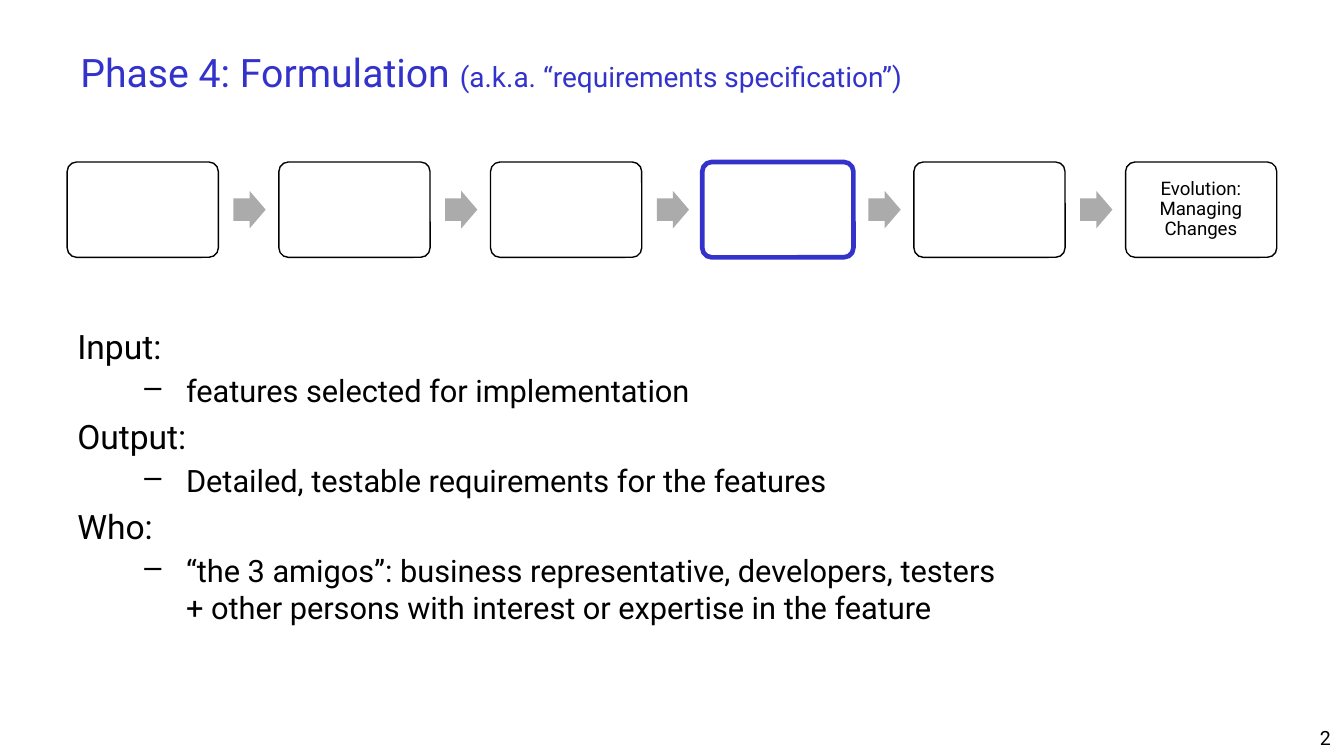
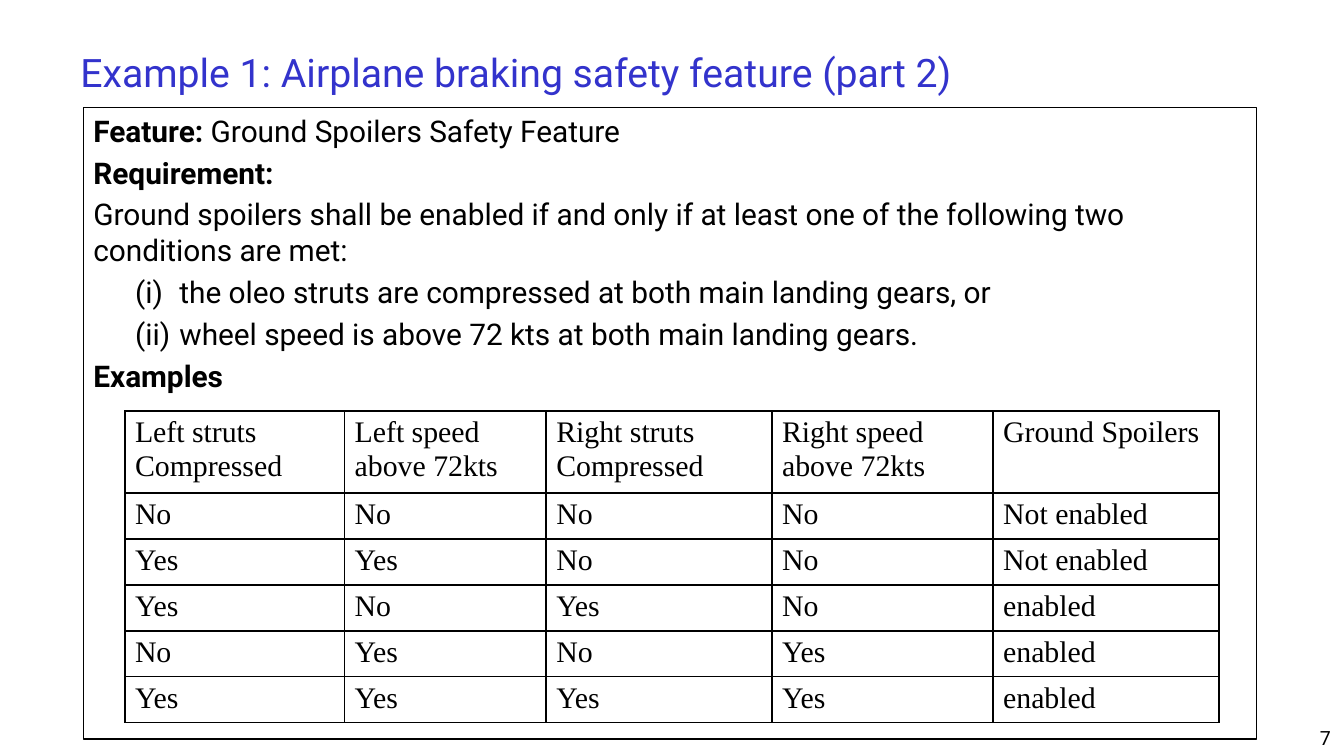
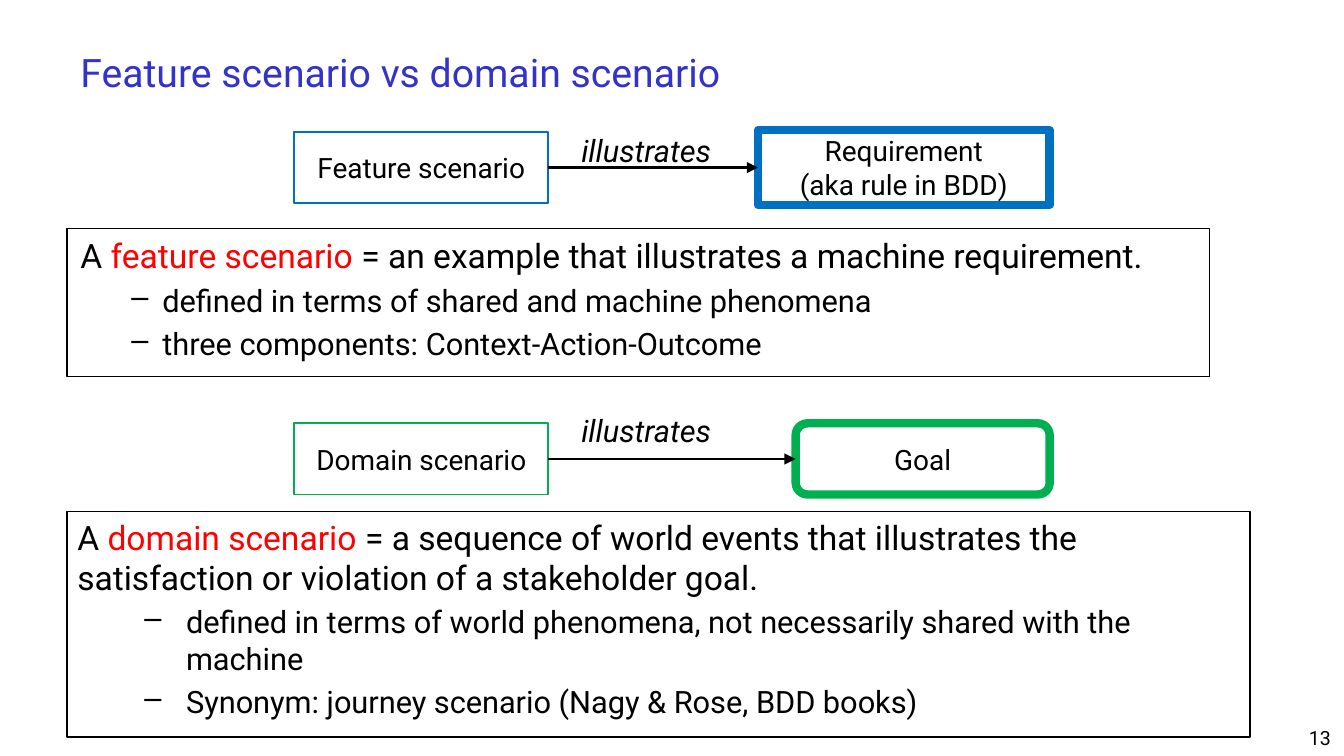
from lxml import etree
from pptx import Presentation
from pptx import util as u
from pptx.dml.color import RGBColor
from pptx.enum import shapes, text
from pptx.oxml import ns

COLOURS = {
    "ink": "000000", "paper": "FFFFFF", "title": "3333CC", "arrow": "ABABAB",
    "term": "FF0000", "machine": "0070C0", "world": "00B050",
}
RGB = {name: RGBColor.from_string(value) for name, value in COLOURS.items()}
FONT = "Roboto"
TIGHT = (5.4, 2.7)
LOOSE = (7.2, 3.6)
KIND = shapes.MSO_SHAPE
ALIGN = text.PP_ALIGN
DASH = ("buChar", "char", "–", 0.81, -0.31)
NEAR_DASH = ("buChar", "char", "–", 0.61, -0.23)
ROMAN = ("buAutoNum", "type", "romanLcParenBoth", 0.64, -0.33)

presentation = Presentation()
presentation.slide_width = u.Inches(10)
presentation.slide_height = presentation.slide_width * 9 // 16
COLUMN = presentation.slide_width / 100
ROW = presentation.slide_height / 56.25


def draw(slide, kind, left, top, width, height, fill=None, line=None, weight=0.75):
    place = [round(length) for length in
             (left * COLUMN, top * ROW, width * COLUMN, height * ROW)]
    if kind is None:
        return slide.shapes.add_textbox(*place)
    shape = slide.shapes.add_shape(kind, *place)
    shape.shadow.inherit = False
    if fill:
        shape.fill.solid()
        shape.fill.fore_color.rgb = RGB[fill]
    else:
        shape.fill.background()
    if line:
        shape.line.color.rgb = RGB[line]
        shape.line.width = u.Pt(weight)
    else:
        shape.line.fill.background()
    return shape


def write(shape, lines, size, bullet_size=None, bullet=DASH, inset=LOOSE, middle=False,
          align=ALIGN.LEFT, colour="ink", emphasis=None, italic=False, gap=0.2):
    frame = shape.text_frame
    frame.word_wrap = True
    frame.margin_left = frame.margin_right = u.Pt(inset[0])
    frame.margin_top = frame.margin_bottom = u.Pt(inset[1])
    frame.vertical_anchor = text.MSO_ANCHOR.MIDDLE if middle else text.MSO_ANCHOR.TOP
    for index, line in enumerate(lines):
        paragraph = frame.paragraphs[0] if index == 0 else frame.add_paragraph()
        bulleted = line.startswith("- ")
        points = bullet_size if bulleted else size
        if bulleted:
            tag, attribute, value, margin, indent = bullet
            properties = paragraph._p.get_or_add_pPr()
            properties.set("marL", str(u.Inches(margin)))
            properties.set("indent", str(u.Inches(indent)))
            etree.SubElement(properties, ns.qn("a:" + tag)).set(attribute, value)
            paragraph.level = 1
        paragraph.alignment = align
        paragraph.space_before = u.Pt(round(gap * points, 1) if index else 0)
        paragraph.font.size = u.Pt(points)
        paragraph.font.name = FONT
        paragraph.font.italic = italic
        paragraph.font.color.rgb = RGB[colour]
        pieces = line.removeprefix("- ").split("*")
        if len(pieces) == 1:
            paragraph.text = pieces[0]
            continue
        for position, piece in enumerate(pieces):
            if piece:
                run = paragraph.add_run()
                run.text = piece
                if position % 2 and emphasis == "bold":
                    run.font.bold = True
                elif position % 2:
                    run.font.color.rgb = RGB[emphasis]


slides = []
titles = []
for heading, number in (
    ("Phase 4: Formulation ", "2"),
    ("Example 1: Airplane braking safety feature (part 2)", "7"),
    ("Feature scenario vs domain scenario", "13"),
):
    slide = presentation.slides.add_slide(presentation.slide_layouts[6])
    title = draw(slide, None, 5, 2.5, 90, 5.65)
    write(title, [heading], 21, middle=True, colour="title")
    page = draw(slide, None, 79.2, 53.55, 20.8, 2.7)
    write(page, [number], 10.5, align=ALIGN.RIGHT)
    slides.append(slide)
    titles.append(title)
phase_slide, example_slide, scenario_slide = slides

alias = titles[0].text_frame.paragraphs[0].add_run()
alias.text = "(a.k.a. “requirements specification”)"
alias.font.size = u.Pt(15)

PHASES = 6
CURRENT = 3
PITCH = 15.75
for phase in range(PHASES):
    left = 5 + phase * PITCH
    current = phase == CURRENT
    step = draw(phase_slide, KIND.ROUNDED_RECTANGLE, left, 12.05, 11.25, 7.1, "paper",
                "title" if current else "ink", 2.5 if current else 0.75)
    step.adjustments[0] = 0.1
    if phase < PHASES - 1:
        arrow = draw(phase_slide, KIND.RIGHT_ARROW, left + 12.37, 14.2, 2.4, 2.8, "arrow")
        arrow.adjustments[0] = 0.6
        arrow.adjustments[1] = 0.5
evolution = draw(phase_slide, None, left + 0.2, 12.25, 10.8, 6.7)
write(evolution, ["Evolution: Managing Changes"], 10, inset=(3, 3), middle=True,
      align=ALIGN.CENTER)
evolution.text_frame.paragraphs[0].line_spacing = 0.9

write(draw(phase_slide, None, 5, 23.85, 90, 29.6), [
    "Input:",
    "- features selected for implementation",
    "Output:",
    "- Detailed, testable requirements for the features",
    "Who:",
    "- “the 3 amigos”: business representative, developers, testers \n"
    "+ other persons with interest or expertise in the feature",
], 18, 16.5, inset=TIGHT)

write(draw(example_slide, KIND.RECTANGLE, 6.2, 8, 87.3, 47, line="ink"), [
    "*Feature:* Ground Spoilers Safety Feature",
    "*Requirement:*",
    "Ground spoilers shall be enabled if and only if at least one of the following two "
    "conditions are met:",
    "- the oleo struts are compressed at both main landing gears, or",
    "- wheel speed is above 72 kts at both main landing gears.",
    "*Examples*",
], 16, 16, bullet=ROMAN, inset=TIGHT, emphasis="bold")

examples = [
    ("Left struts Compressed", "Left speed above 72kts", "Right struts Compressed",
     "Right speed above 72kts", "Ground Spoilers"),
    ("No", "No", "No", "No", "Not enabled"),
    ("Yes", "Yes", "No", "No", "Not enabled"),
    ("Yes", "No", "Yes", "No", "enabled"),
    ("No", "Yes", "No", "Yes", "enabled"),
    ("Yes", "Yes", "Yes", "Yes", "enabled"),
]
widths = [16.35, 15, 16.8, 16.45, 16.8]
heights = [4.1] + [3] * 5
table_frame = example_slide.shapes.add_table(
    len(heights), len(widths), round(9.3 * COLUMN), round(30.6 * ROW),
    round(sum(widths) * COLUMN), round(sum(heights) * ROW))
table = table_frame.table
table.first_row = table.horz_banding = False
for column, width in zip(table.columns, widths):
    column.width = round(width * COLUMN)
for row, height, values in zip(table.rows, heights, examples):
    row.height = round(height * ROW)
    for cell, value in zip(row.cells, values):
        cell.margin_left = cell.margin_right = u.Pt(TIGHT[0])
        cell.margin_top = cell.margin_bottom = u.Pt(TIGHT[1])
        for side in ("lnL", "lnR", "lnT", "lnB"):
            border = etree.SubElement(cell._tc.get_or_add_tcPr(), ns.qn("a:" + side))
            border.set("w", str(u.Pt(1)))
            paint = etree.SubElement(border, ns.qn("a:solidFill"))
            etree.SubElement(paint, ns.qn("a:srgbClr")).set("val", COLOURS["ink"])
        cell.fill.solid()
        cell.fill.fore_color.rgb = RGB["paper"]
        paragraph = cell.text_frame.paragraphs[0]
        paragraph.text = value
        paragraph.font.name = "Times New Roman"
        paragraph.font.size = u.Pt(16)
        paragraph.font.color.rgb = RGB["ink"]
table_frame.height = round(23.2 * ROW)

write(draw(scenario_slide, KIND.RECTANGLE, 5, 17, 85, 11, line="ink"), [
    "A *feature scenario *= an example that illustrates a machine requirement.",
    "- defined in terms of shared and machine phenomena",
    "- three components: Context-Action-Outcome",
], 18, 16.5, bullet=NEAR_DASH, emphasis="term")
write(draw(scenario_slide, KIND.RECTANGLE, 5, 38.05, 88, 16.8, line="ink"), [
    "A *domain scenario *= a sequence of world events that illustrates the satisfaction "
    "or violation of a stakeholder goal.",
    "- defined in terms of world phenomena, not necessarily shared with the machine",
    "- Synonym: journey scenario (Nagy & Rose, BDD books)",
], 18, 16.5, inset=TIGHT, emphasis="term")

RIGHT_EDGE = 78.1
for scenario, target, kind, width, height, middle, label_top, colour in (
    ("Feature scenario", ["Requirement", "(aka rule in BDD)"], KIND.RECTANGLE,
     21.7, 5.6, 12.47, 9.45, "machine"),
    ("Domain scenario", ["Goal"], KIND.ROUNDED_RECTANGLE,
     18.9, 5.3, 34.15, 30.25, "world"),
):
    source_box = draw(scenario_slide, KIND.RECTANGLE, 21.9, middle - 2.65, 18.9, 5.3,
                      "paper", colour, 1)
    target_box = draw(scenario_slide, kind, RIGHT_EDGE - width, middle - height / 2,
                      width, height, "paper", colour, 4.5)
    for box, lines in ((source_box, [scenario]), (target_box, target)):
        write(box, lines, 15, middle=True, align=ALIGN.CENTER, gap=0)
    link = scenario_slide.shapes.add_connector(shapes.MSO_CONNECTOR.STRAIGHT, 0, 0, 0, 0)
    link.begin_connect(source_box, 3)
    link.end_connect(target_box, 1)
    link.line.color.rgb = RGB["ink"]
    link.line.width = u.Pt(1.5)
    etree.SubElement(link.line._get_or_add_ln(), ns.qn("a:tailEnd")).set("type", "triangle")
    etree.SubElement(link._element.spPr, ns.qn("a:effectLst"))
    label = draw(scenario_slide, None, 42.5, label_top, 12.3, 4)
    write(label, ["illustrates"], 16.5, inset=TIGHT, italic=True)

presentation.save("out.pptx")
